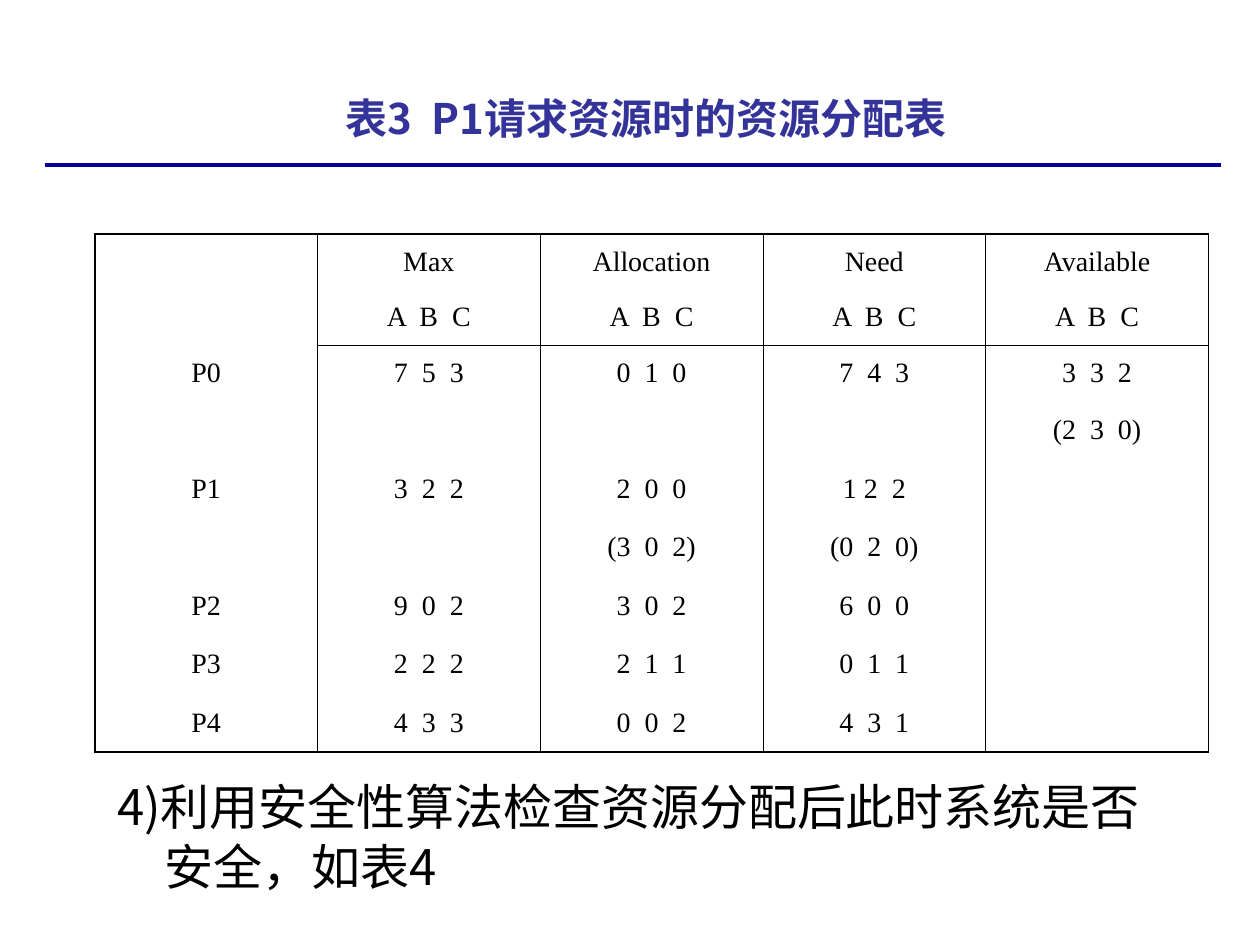
from lxml import etree
from pptx import Presentation
from pptx.dml.color import RGBColor
from pptx.enum.shapes import MSO_CONNECTOR
from pptx.enum.text import MSO_ANCHOR, MSO_AUTO_SIZE, PP_ALIGN
from pptx.oxml.ns import qn
from pptx.util import Cm, Pt

LEFT, CENTER = PP_ALIGN.LEFT, PP_ALIGN.CENTER
TOP, MIDDLE = MSO_ANCHOR.TOP, MSO_ANCHOR.MIDDLE
NO_AUTOFIT = MSO_AUTO_SIZE.NONE
STRAIGHT = MSO_CONNECTOR.STRAIGHT

BLACK = RGBColor(0x00, 0x00, 0x00)
NAVY = RGBColor(0x00, 0x00, 0x99)
INDIGO = RGBColor(0x33, 0x33, 0x99)
CHINESE_FONT = "Noto Sans CJK SC"
TABLE_FONT = "Times New Roman"

# Content
TITLE = "表3  P1请求资源时的资源分配表"
STEP = "4)利用安全性算法检查资源分配后此时系统是否安全，如表4"
ROWS = [
    ("", "Max", "Allocation", "Need", "Available"),
    ("", "A  B  C", "A  B  C", "A  B  C", "A  B  C"),
    ("P0", "7  5  3", "0  1  0", "7  4  3", "3  3  2"),
    ("", "", "", "", "(2  3  0)"),
    ("P1", "3  2  2", "2  0  0", "1 2  2", ""),
    ("", "", "(3  0  2)", "(0  2  0)", ""),
    ("P2", "9  0  2", "3  0  2", "6  0  0", ""),
    ("P3", "2  2  2", "2  1  1", "0  1  1", ""),
    ("P4", "4  3  3", "0  0  2", "4  3  1", ""),
]
HEADER_ROWS = 2
ROW_HEIGHTS = [1.12] * 3 + [1.18] * 6
COLUMN_WIDTH = 4.49
OUTER, INNER = 1.08, 0.45  # border widths in points


def add_run(paragraph, text, font_name, size, color, bold=False):
    run = paragraph.add_run()
    run.text = text
    font = run.font
    font.name, font.size, font.bold = font_name, Pt(size), bold
    font.color.rgb = color
    east_asian = etree.SubElement(run._r.get_or_add_rPr(), qn("a:ea"))
    east_asian.set("typeface", font_name)


def prepare_placeholder(shape, left, top, width, height, anchor):
    shape.left, shape.top = Cm(left), Cm(top)
    shape.width, shape.height = Cm(width), Cm(height)
    frame = shape.text_frame
    frame.word_wrap = True
    frame.auto_size = NO_AUTOFIT
    frame.vertical_anchor = anchor
    paragraph = frame.paragraphs[0]
    paragraph.alignment = LEFT
    paragraph.space_before = Pt(0)
    return paragraph


def set_border(cell, side, width):
    """Draw one cell edge, or clear it when the width is zero."""
    line = etree.SubElement(cell._tc.get_or_add_tcPr(), qn(f"a:ln{side}"))
    if not width:
        etree.SubElement(line, qn("a:noFill"))
        return
    line.set("w", str(Pt(width)))
    fill = etree.SubElement(line, qn("a:solidFill"))
    etree.SubElement(fill, qn("a:srgbClr")).set("val", str(BLACK))


def border_widths(row, column):
    last_row, last_column = len(ROWS) - 1, len(ROWS[0]) - 1
    return {
        "L": OUTER if column == 0 else INNER,
        "R": OUTER if column == last_column else INNER,
        "T": OUTER if row == 0 else INNER if row == HEADER_ROWS else 0,
        "B": OUTER if row == last_row else INNER if row == HEADER_ROWS - 1 else 0,
    }


presentation = Presentation()
presentation.slide_width, presentation.slide_height = Cm(25.4), Cm(19.05)
slide = presentation.slides.add_slide(presentation.slide_layouts[1])

# Title
paragraph = prepare_placeholder(slide.shapes.title, 6.71, 1.73, 14.27, 1.27, MIDDLE)
add_run(paragraph, TITLE, CHINESE_FONT, 24, INDIGO, bold=True)

# Rule under the title
rule = slide.shapes.add_connector(STRAIGHT, Cm(0.9), Cm(3.33), Cm(24.61), Cm(3.33))
rule.line.color.rgb = NAVY
rule.line.width = Pt(2.5)
etree.SubElement(rule._element.spPr, qn("a:effectLst"))

# Step below the table, with a hanging indent
paragraph = prepare_placeholder(slide.placeholders[1], 2.11, 15.52, 21.29, 3, TOP)
properties = paragraph._p.get_or_add_pPr()
properties.set("marL", str(Cm(0.95)))
properties.set("indent", str(Cm(-0.95)))
paragraph.line_spacing = Pt(34)
etree.SubElement(properties, qn("a:buNone"))
add_run(paragraph, STEP, CHINESE_FONT, 28, BLACK)

# Allocation table
column_count = len(ROWS[0])
table = slide.shapes.add_table(
    len(ROWS), column_count, Cm(1.91), Cm(4.72),
    Cm(COLUMN_WIDTH * column_count), Cm(sum(ROW_HEIGHTS)),
).table
table.first_row = table.horz_banding = False
for column in table.columns:
    column.width = Cm(COLUMN_WIDTH)
for row, height in zip(table.rows, ROW_HEIGHTS):
    row.height = Cm(height)

for row_index, texts in enumerate(ROWS):
    for column_index, text in enumerate(texts):
        cell = table.cell(row_index, column_index)
        cell.vertical_anchor = MIDDLE
        for side, width in border_widths(row_index, column_index).items():
            set_border(cell, side, width)
        cell.fill.background()
        if text:
            paragraph = cell.text_frame.paragraphs[0]
            paragraph.alignment = CENTER
            add_run(paragraph, text, TABLE_FONT, 16, BLACK)
table.cell(0, 0).merge(table.cell(HEADER_ROWS - 1, 0))

presentation.save("out.pptx")
